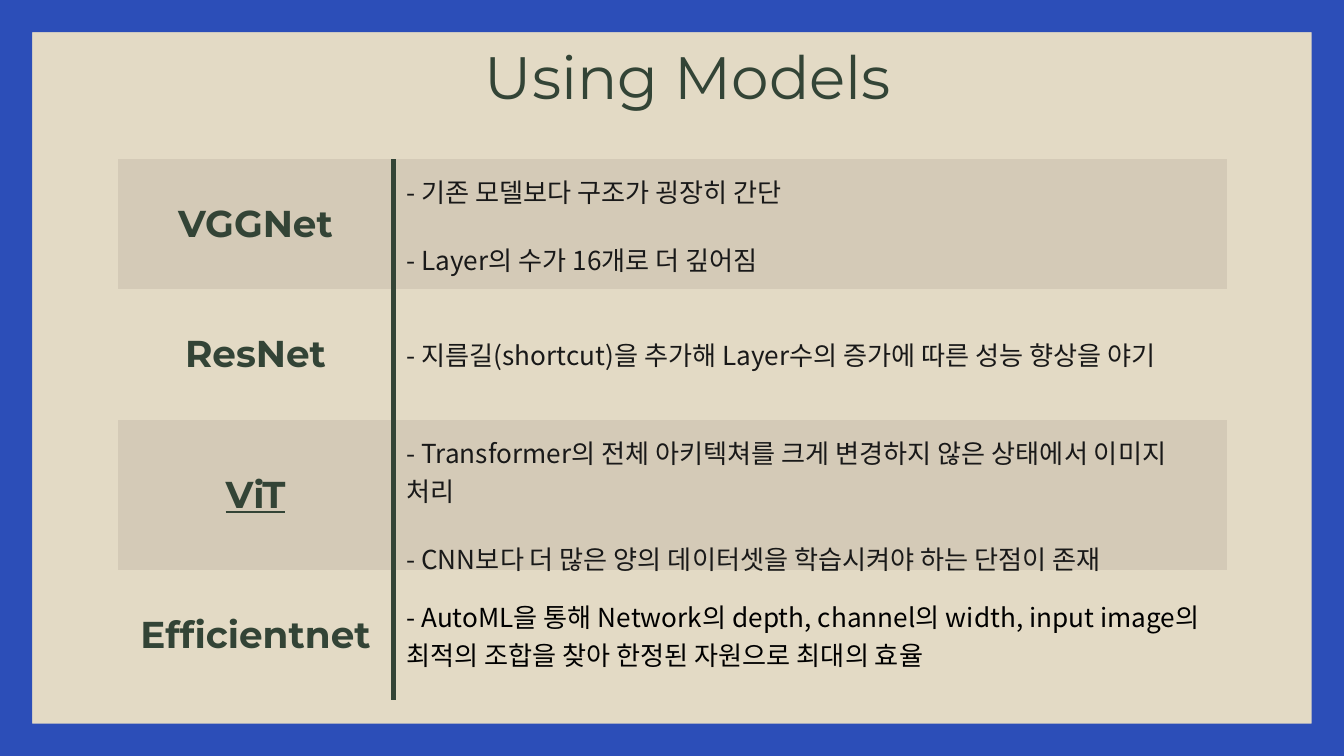
"""Build a slide that compares four image models in a table."""
from lxml.etree import SubElement
from pptx import Presentation
from pptx.dml.color import RGBColor
from pptx.enum.shapes import MSO_SHAPE
from pptx.enum.text import MSO_ANCHOR, PP_ALIGN
from pptx.oxml import parse_xml
from pptx.oxml.ns import nsdecls, qn
from pptx.util import Cm, Pt

GREEN, BLUE, SAND, BAND = "334436", "2C4EB8", "E3DAC5", "D4CAB7"
TITLE = {"name": "Montserrat", "size": Pt(32)}
NAME = {"name": "Montserrat", "size": Pt(20), "bold": True}
NOTE = {"name": "Noto Sans CJK KR", "size": Pt(14), "bold": False}
MODELS = [
    ("VGGNet", "191919", ["- 기존 모델보다 구조가 굉장히 간단", "- Layer의 수가 16개로 더 깊어짐"]),
    ("ResNet", "191919", ["- 지름길(shortcut)을 추가해 Layer수의 증가에 따른 성능 향상을 야기"]),
    ("ViT", "191919", [
        "- Transformer의 전체 아키텍쳐를 크게 변경하지 않은 상태에서 이미지 처리",
        "- CNN보다 더 많은 양의 데이터셋을 학습시켜야 하는 단점이 존재",
    ]),
    ("Efficientnet", "000000", [
        "- AutoML을 통해 Network의 depth, channel의 width, input image의 "
        "최적의 조합을 찾아 한정된 자원으로 최대의 효율",
    ]),
]
NO_GRID = "{2D5ABB26-0587-4C30-8999-92F81FD0307C}"


def paint(color_format, color):
    color_format.rgb = RGBColor.from_string(color)


def write(text_frame, lines, values, color, align, space_after):
    for index, line in enumerate(lines):
        paragraph = text_frame.paragraphs[0] if index == 0 else text_frame.add_paragraph()
        paragraph.alignment = align
        paragraph.space_after = Pt(space_after)
        run = paragraph.add_run()
        run.text = line
        for key, value in values.items():
            setattr(run.font, key, value)
        paint(run.font.color, color)
        SubElement(run._r.get_or_add_rPr(), qn("a:ea"), typeface=values["name"])


presentation = Presentation()
presentation.slide_width, presentation.slide_height = Cm(25.4), Cm(14.29)
slide = presentation.slides.add_slide(presentation.slide_layouts[6])
slide.background.fill.solid()
paint(slide.background.fill.fore_color, SAND)

frame = slide.shapes.add_shape(MSO_SHAPE.FRAME, 0, 0, Cm(25.4), Cm(14.29))
frame.adjustments[0] = 0.04268
frame.shadow.inherit = False
frame.fill.solid()
paint(frame.fill.fore_color, BLUE)
frame.line.fill.background()

title = slide.shapes.add_textbox(0, Cm(0.56), Cm(25.4), Cm(1.75)).text_frame
title_format = {
    "word_wrap": True, "vertical_anchor": MSO_ANCHOR.MIDDLE, "margin_left": Cm(0.86),
    "margin_right": Cm(0.25), "margin_top": Cm(0.25), "margin_bottom": Cm(0.25),
}
for key, value in title_format.items():
    setattr(title, key, value)
write(title, ["Using Models"], TITLE, GREEN, PP_ALIGN.CENTER, 0)

table = slide.shapes.add_table(
    len(MODELS), 2, Cm(2.23), Cm(3.01), Cm(20.95), Cm(9.86)
).table
table.first_row = table.horz_banding = False
table._tbl.tblPr.find(qn("a:tableStyleId")).text = NO_GRID
for column, width in zip(table.columns, (5.2, 15.75)):
    column.width = Cm(width)

cell_format = {"vertical_anchor": MSO_ANCHOR.MIDDLE}
cell_format.update({f"margin_{side}": Cm(0.25) for side in ("left", "right", "top", "bottom")})
for row, (model, note_color, notes) in enumerate(MODELS):
    table.rows[row].height = Cm(2.46)
    name_cell, note_cell = table.cell(row, 0), table.cell(row, 1)
    name_values = {**NAME, "underline": model == "ViT"}
    write(name_cell.text_frame, [model], name_values, GREEN, PP_ALIGN.CENTER, 0)
    write(note_cell.text_frame, notes, NOTE, note_color, PP_ALIGN.LEFT, 16)
    for cell, edge in ((name_cell, "lnR"), (note_cell, "lnL")):
        for key, value in cell_format.items():
            setattr(cell, key, value)
        if row % 2 == 0:
            cell.fill.solid()
            paint(cell.fill.fore_color, BAND)
        else:
            cell.fill.background()
        cell._tc.get_or_add_tcPr().insert(0, parse_xml(
            f'<a:{edge} {nsdecls("a")} w="{Pt(3)}"><a:solidFill>'
            f'<a:srgbClr val="{GREEN}"/></a:solidFill></a:{edge}>'
        ))

presentation.save("out.pptx")
